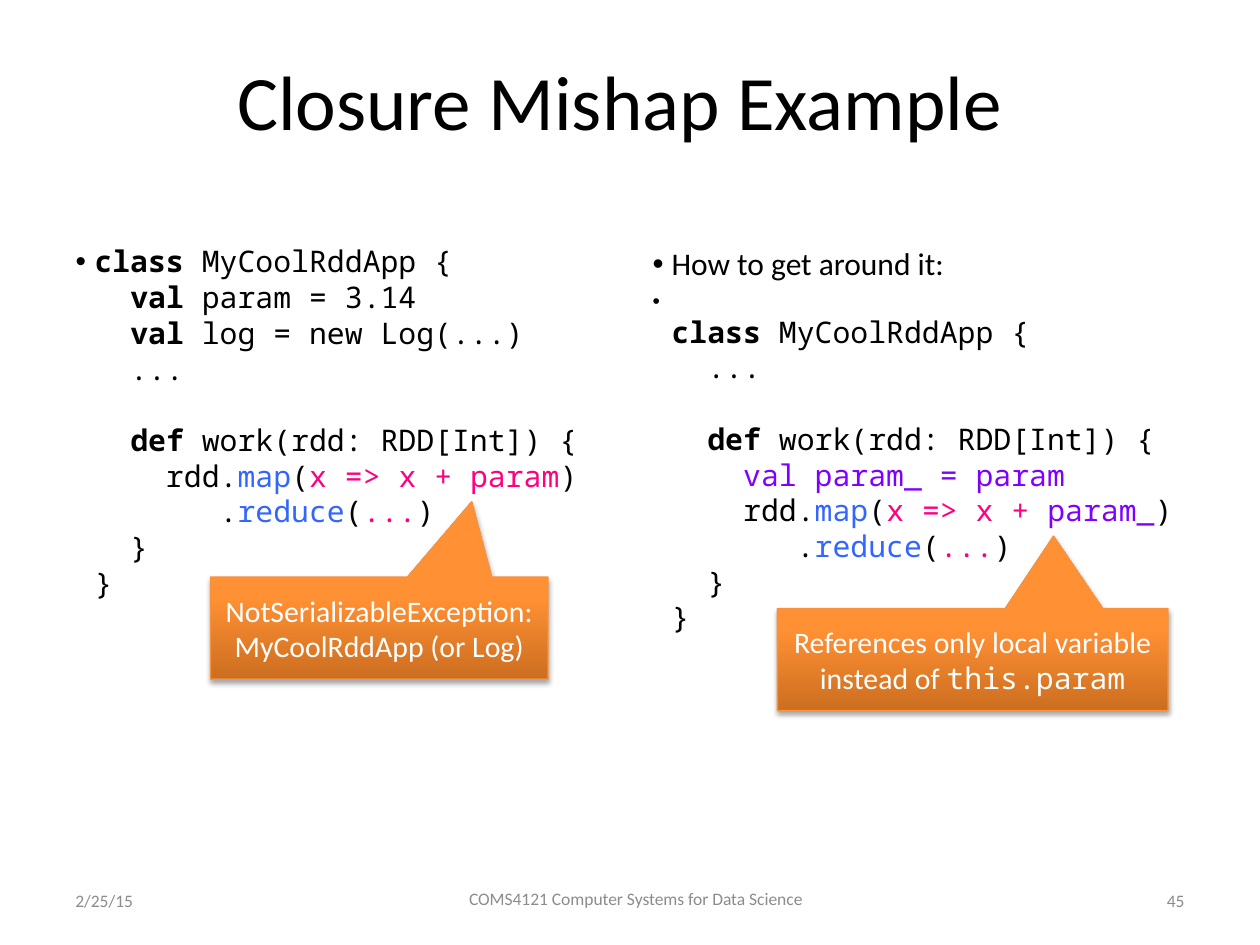
from copy import deepcopy

from lxml import etree
from pptx import Presentation
from pptx import util as u
from pptx.dml.color import RGBColor
from pptx.enum import shapes, text
from pptx.oxml.ns import qn

WIDTH, HEIGHT = 10, 7.5
SANS, MONO = "Calibri", "Noto Sans Mono"
COLORS = {"ink": "000000", "call": "3366FF", "lambda": "FF0080", "local": "8000FF",
          "white": "FFFFFF", "footer": "8C8C8C", "edge": "F69240"}
GRADIENT = [(0, "CC6E20"), (0.8, "FF9034"), (1, "FF9136")]

# Text styles: font, size, colour, bold
CODE = {"name": MONO, "size": 17, "color": "ink", "bold": False}
STYLES = {
    "code": CODE,
    "keyword": {**CODE, "bold": True},
    "call": {**CODE, "color": "call"},
    "lambda": {**CODE, "color": "lambda"},
    "local": {**CODE, "color": "local"},
    "gap": {**CODE, "size": 12, "bold": True},
    "lead": {**CODE, "name": SANS, "size": 18},
    "title": {**CODE, "name": SANS, "size": 44},
    "note": {**CODE, "name": SANS, "color": "white"},
    "note code": {**CODE, "color": "white"},
    "footer": {**CODE, "name": SANS, "size": 10, "color": "footer"},
}

# Content: each paragraph is a list of (text, style)
TITLE = [("Closure Mishap Example", "title")]
CLASS_HEAD = [("class ", "keyword"), ("MyCoolRddApp {\n  ", "code")]
WORK_HEAD = [("...\n\n  ", "code"), ("def", "keyword"),
             (" work(rdd: RDD[Int]) {\n    ", "code")]
MAP_HEAD = [("rdd.", "code"), ("map", "call"), ("(", "code")]
REDUCE = [(")\n       .", "code"), ("reduce", "call"), ("(", "code"),
          ("...", "lambda"), (")\n  }\n}", "code")]
PROBLEM = [
    CLASS_HEAD
    + [("val ", "keyword"), ("param = 3.14\n  ", "code"),
       ("val", "keyword"), (" log = new Log(...)\n  ", "code")]
    + WORK_HEAD + MAP_HEAD + [("x => x + param", "lambda")] + REDUCE
]
SOLUTION = [
    [("How to get around it:", "lead")],
    [("\n", "gap")] + CLASS_HEAD + WORK_HEAD
    + [("val param_ = param\n    ", "local")] + MAP_HEAD
    + [("x => x + ", "lambda"), ("param_", "local")] + REDUCE,
]
CALLOUTS = [  # box, pointer tip, text
    ((1.67, 4.58, 2.68, 0.81), (0.274, -1.239),
     [("NotSerializableException:\nMyCoolRddApp (or Log)", "note")]),
    ((6.17, 4.83, 3.1, 0.81), (0.207, -1.211),
     [("References only local variable instead of ", "note"),
      ("this.param", "note code")]),
]
MARGIN = WIDTH * 0.05
COLUMN = 4.42
SIDE = 2.33
ALIGN = text.PP_ALIGN
FOOTERS = [  # box, alignment, text
    ((MARGIN, 6.95, SIDE, 0.4), ALIGN.LEFT, "2/25/15"),
    ((3.17, 6.92, 3.75, 0.43), ALIGN.CENTER, "COMS4121 Computer Systems for Data Science"),
    ((WIDTH - MARGIN - SIDE, 6.95, SIDE, 0.4), ALIGN.RIGHT, "45"),
]


def place(shape, box):
    for name, value in zip(("left", "top", "width", "height"), box):
        setattr(shape, name, u.Inches(value))


def add_break(paragraph, style):
    """Add a line break whose height follows the given style."""
    line_break = paragraph._p.add_br()
    properties = etree.SubElement(line_break, qn("a:rPr"), sz=str(style["size"] * 100))
    etree.SubElement(properties, qn("a:latin"), typeface=style["name"])


def write(paragraph, pieces):
    for words, style_name in pieces:
        style = STYLES[style_name]
        for number, line in enumerate(words.split("\n")):
            if number:
                add_break(paragraph, style)
            if line:
                run = paragraph.add_run()
                run.text = line
                run.font.color.rgb = RGBColor.from_string(COLORS[style["color"]])
                values = {"name": style["name"], "size": u.Pt(style["size"]),
                          "bold": style["bold"]}
                for name, value in values.items():
                    setattr(run.font, name, value)


def fill_text(shape, paragraphs, align, anchor=text.MSO_ANCHOR.MIDDLE):
    frame = shape.text_frame
    settings = {"word_wrap": True, "auto_size": text.MSO_AUTO_SIZE.NONE,
                "vertical_anchor": anchor}
    for name, value in settings.items():
        setattr(frame, name, value)
    for number, pieces in enumerate(paragraphs):
        paragraph = frame.add_paragraph() if number else frame.paragraphs[0]
        paragraph.alignment = align
        write(paragraph, pieces)


def add_bullets(shape):
    for paragraph in shape.text_frame.paragraphs:
        properties = paragraph._p.get_or_add_pPr()
        indent = u.Inches(0.15)
        properties.set("marL", str(indent))
        properties.set("indent", str(-indent))
        etree.SubElement(properties, qn("a:buFont"), typeface="Arial")
        etree.SubElement(properties, qn("a:buChar"), char="•")


def paint_callout(shape):
    shape.line.color.rgb = RGBColor.from_string(COLORS["edge"])
    shape.line.width = u.Pt(0.75)
    # Three-stop gradient, dark at the bottom
    shape.fill.gradient()
    shape.fill.gradient_angle = 90
    stop_list = shape._element.spPr.find(".//" + qn("a:gsLst"))
    stop_list.append(deepcopy(stop_list[0]))
    for stop, (position, color) in zip(shape.fill.gradient_stops, GRADIENT):
        stop.position = position
        stop.color.rgb = RGBColor.from_string(color)
    # Soft shadow straight below
    shape.shadow.inherit = False
    effects = shape._element.spPr.find(qn("a:effectLst"))
    shadow = etree.SubElement(effects, qn("a:outerShdw"), blurRad=str(u.Pt(3.1)),
                              dist=str(u.Pt(1.8)), dir="5400000", rotWithShape="0")
    color = etree.SubElement(shadow, qn("a:srgbClr"), val=COLORS["ink"])
    etree.SubElement(color, qn("a:alpha"), val="35000")


def main():
    presentation = Presentation()
    presentation.slide_width = u.Inches(WIDTH)
    presentation.slide_height = u.Inches(HEIGHT)
    slide = presentation.slides.add_slide(presentation.slide_layouts[3])

    # Title and the two code columns
    title, left, right = slide.placeholders
    place(title, (0.42, 0.17, 9, 1.25))
    fill_text(title, [TITLE], ALIGN.CENTER)
    columns = [(left, MARGIN, 1.88, PROBLEM),
               (right, WIDTH - MARGIN - COLUMN, 1.89, SOLUTION)]
    for body, x, y, paragraphs in columns:
        place(body, (x, y, COLUMN, 4.95))
        fill_text(body, paragraphs, ALIGN.LEFT, text.MSO_ANCHOR.TOP)
        add_bullets(body)

    # Callouts
    for box, tip, pieces in CALLOUTS:
        callout = slide.shapes.add_shape(shapes.MSO_SHAPE.RECTANGULAR_CALLOUT,
                                         *map(u.Inches, box))
        for number, value in enumerate(tip):
            callout.adjustments[number] = value
        paint_callout(callout)
        fill_text(callout, [pieces], ALIGN.CENTER)

    # Footer
    for box, align, words in FOOTERS:
        footer = slide.shapes.add_textbox(*map(u.Inches, box))
        fill_text(footer, [[(words, "footer")]], align)

    presentation.save("out.pptx")


if __name__ == "__main__":
    main()
